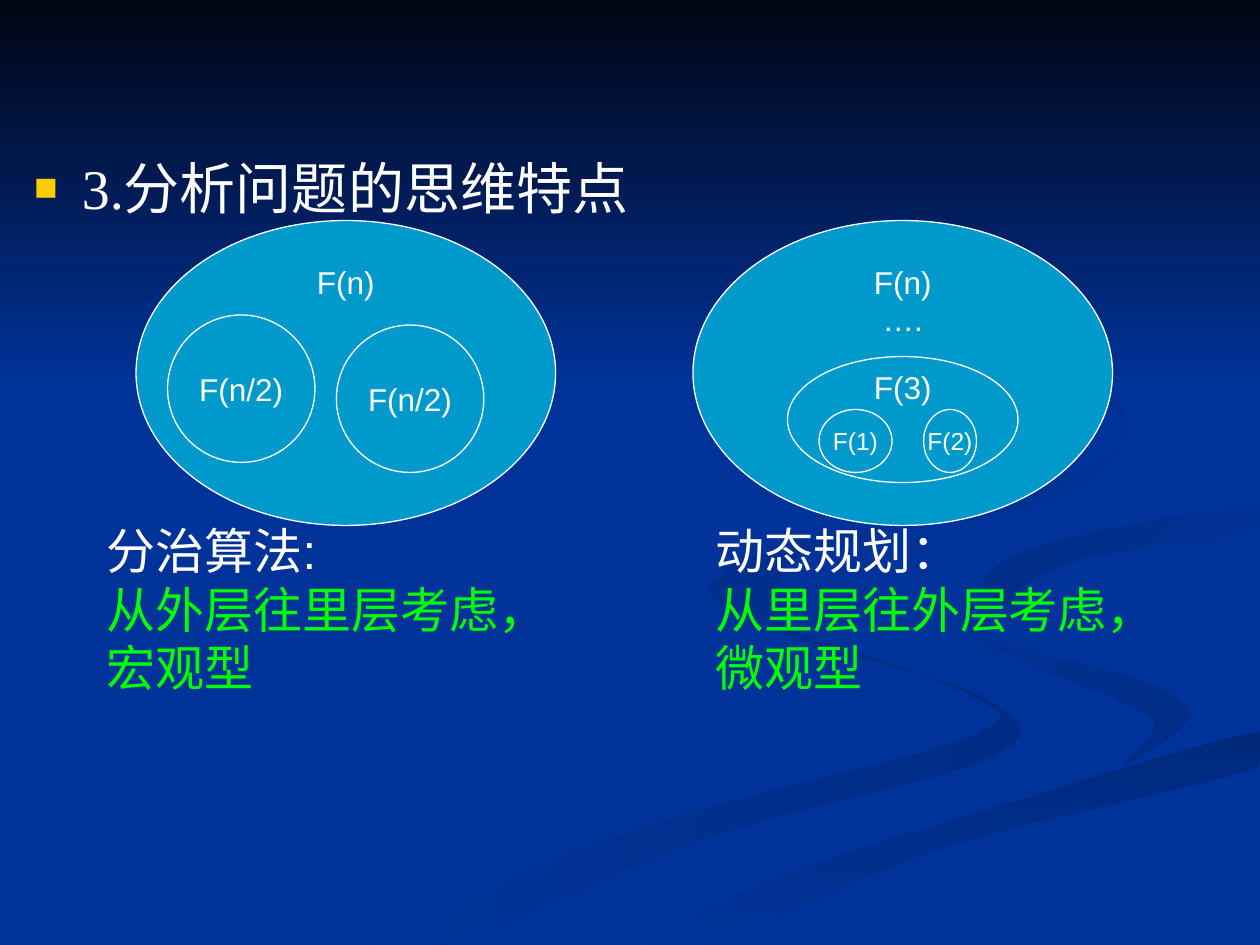
from dataclasses import dataclass
from typing import Optional

from lxml.etree import SubElement
from pptx import Presentation
from pptx.dml.color import RGBColor
from pptx.enum.shapes import MSO_SHAPE
from pptx.enum.text import MSO_ANCHOR as Anchor, MSO_AUTO_SIZE as AutoSize, PP_ALIGN as Align
from pptx.oxml.ns import qn
from pptx.util import Inches, Pt

BLUE = RGBColor(0x00, 0x33, 0x99)
NIGHT = RGBColor(0x00, 0x05, 0x14)
DUSK = RGBColor(0x00, 0x2C, 0x85)
DEEP = RGBColor(0x00, 0x29, 0x7C)
CYAN = RGBColor(0x00, 0x99, 0xCC)
WHITE = RGBColor(0xFF, 0xFF, 0xFF)
GREEN = RGBColor(0x00, 0xFF, 0x00)

WIDTH, HEIGHT = 10, 7.5
CURVE_STEPS = 6

Point = tuple[float, float]


@dataclass
class Ribbon:
    outline: list[Point]  # key points, joined by a smooth closed curve
    start: RGBColor
    end: RGBColor
    angle: int  # clockwise degrees


@dataclass
class Problem:
    left: float
    top: float
    width: float
    height: float
    label: str
    size: int = 18
    bottom_inset: float = 0.05  # lifts the label above the inner ellipses
    alpha: Optional[int] = None  # percent


@dataclass
class Note:
    left: float
    width: float
    method: str
    thinking: str


RIBBONS = [
    Ribbon([(5.75, 4.6), (6.3, 5.05), (7.8, 5.53), (7.9, 6), (5.6, 6.65), (3.6, 7.49),
            (3, 7.49), (5, 6.6), (7.7, 5.85), (7.6, 5.47), (5.8, 4.83)], DUSK, BLUE, 180),
    Ribbon([(7.25, 4.65), (7.9, 5.09), (9.05, 5.4), (9.43, 5.7), (8.94, 6.05),
            (9.15, 5.71), (8.4, 5.36), (7.4, 4.94)], DUSK, BLUE, 225),
    Ribbon([(5.1, 7.49), (6.3, 6.93), (8, 6.38), (9.98, 5.81), (9.98, 6.09),
            (7.5, 6.72), (5.7, 7.49)], DEEP, BLUE, 90),
    Ribbon([(7.81, 4.6), (8.5, 4.27), (9.98, 4.02), (9.98, 4.2), (8.6, 4.43),
            (8.05, 4.72), (8.26, 4.96)], BLUE, DUSK, 225),
    Ribbon([(7.62, 2.33), (8.64, 2.91), (8.94, 3.44), (8.4, 3.96), (6.35, 4.4),
            (6.2, 5), (5.8, 4.5), (8.3, 3.82), (8.88, 3.3)], BLUE, DUSK, 225),
]

PROBLEMS = [
    # Dynamic programming
    Problem(5.5, 1.75, 3.33, 2.42, "F(n)\n….", bottom_inset=1.2),
    Problem(6.25, 2.83, 1.83, 1, "F(3)", bottom_inset=0.57, alpha=50),
    Problem(6.5, 3.25, 0.58, 0.5, "F(1)", size=14, alpha=50),
    Problem(7.33, 3.25, 0.42, 0.5, "F(2)", size=14, alpha=50),
    # Divide and conquer
    Problem(1.08, 1.75, 3.33, 2.42, "F(n)", bottom_inset=1.49),
    Problem(1.33, 2.5, 1.17, 1.17, "F(n/2)"),
    Problem(2.67, 2.58, 1.17, 1.17, "F(n/2)"),
]
NOTES = [
    Note(0.75, 3.83, "分治算法:", "从外层往里层考虑，宏观型"),
    Note(5.58, 4, "动态规划：", "从里层往外层考虑，微观型"),
]


def style(paragraph, size: int, color: RGBColor, name: str = "Arial") -> None:
    font = paragraph.font
    font.size, font.name, font.color.rgb = Pt(size), name, color


def shade(shape, start: RGBColor, end: RGBColor, angle: int) -> None:
    shape.shadow.inherit = False
    shape.line.fill.background()
    shape.fill.gradient()
    shape.fill.gradient_angle = (360 - angle) % 360
    for stop, color in zip(shape.fill.gradient_stops, (start, end)):
        stop.color.rgb = color


def smooth(outline: list[Point]) -> list[Point]:
    """Closed Catmull-Rom curve through the key points, kept on the slide."""
    curve = []
    for i in range(len(outline)):
        knots = [outline[(i + k) % len(outline)] for k in (-1, 0, 1, 2)]
        for step in range(CURVE_STEPS):
            t = step / CURVE_STEPS
            x, y = (
                b + t * (c - a + t * (2 * a - 5 * b + 4 * c - d + t * (3 * (b - c) + d - a))) / 2
                for a, b, c, d in zip(*knots)
            )
            curve.append((min(x, WIDTH), min(y, HEIGHT)))
    return curve


def draw_ribbon(slide, ribbon: Ribbon) -> None:
    first, *rest = [(Inches(x), Inches(y)) for x, y in smooth(ribbon.outline)]
    builder = slide.shapes.build_freeform(*first)
    builder.add_line_segments(rest, close=True)
    shade(builder.convert_to_shape(), ribbon.start, ribbon.end, ribbon.angle)


def draw_problem(slide, problem: Problem) -> None:
    box = (problem.left, problem.top, problem.width, problem.height)
    ellipse = slide.shapes.add_shape(MSO_SHAPE.OVAL, *map(Inches, box))
    ellipse.shadow.inherit = False
    ellipse.fill.solid()
    ellipse.fill.fore_color.rgb = CYAN
    if problem.alpha is not None:
        color = ellipse._element.spPr.find(qn("a:solidFill"))[0]
        SubElement(color, qn("a:alpha"), val=str(problem.alpha * 1000))
    ellipse.line.color.rgb = WHITE
    ellipse.line.width = Pt(0.75)

    frame = ellipse.text_frame
    frame.word_wrap = False
    frame.vertical_anchor = Anchor.MIDDLE
    frame.margin_bottom = Inches(problem.bottom_inset)
    frame.text = problem.label
    for paragraph in frame.paragraphs:
        paragraph.alignment = Align.CENTER
        style(paragraph, problem.size, WHITE)


def draw_note(slide, note: Note) -> None:
    box = slide.shapes.add_textbox(Inches(note.left), Inches(4.08), Inches(note.width), Inches(1.5))
    frame = box.text_frame
    frame.word_wrap = True
    frame.text = f"{note.method}\n{note.thinking}"
    for paragraph, color in zip(frame.paragraphs, (WHITE, GREEN)):
        style(paragraph, 28, color)


def draw_heading(slide, text: str) -> None:
    heading = slide.shapes.title
    slide.shapes._spTree.append(heading._element)  # bring in front of the backdrop
    heading.left, heading.top = Inches(0.17), Inches(1.17)
    heading.width, heading.height = Inches(9.83), Inches(0.68)
    frame = heading.text_frame
    frame.auto_size = AutoSize.NONE
    frame.vertical_anchor = Anchor.TOP
    frame.text = text
    paragraph = frame.paragraphs[0]
    paragraph.alignment = Align.LEFT
    # Square yellow bullet with a hanging indent
    properties = paragraph._p.get_or_add_pPr()
    properties.set("marL", str(Inches(0.38)))
    properties.set("indent", str(Inches(-0.38)))
    SubElement(SubElement(properties, qn("a:buClr")), qn("a:srgbClr"), val="FFCC00")
    SubElement(properties, qn("a:buSzPct"), val="70000")
    SubElement(properties, qn("a:buFont"), typeface="Arial")
    SubElement(properties, qn("a:buChar"), char="■")
    style(paragraph, 32, WHITE, "Times New Roman")


def main() -> None:
    deck = Presentation()
    deck.slide_width, deck.slide_height = Inches(WIDTH), Inches(HEIGHT)
    slide = deck.slides.add_slide(deck.slide_layouts[5])
    slide.background.fill.solid()
    slide.background.fill.fore_color.rgb = BLUE

    # Backdrop: ribbons under a night sky
    for ribbon in RIBBONS:
        draw_ribbon(slide, ribbon)
    sky = slide.shapes.add_shape(MSO_SHAPE.RECTANGLE, 0, 0, deck.slide_width, Inches(3.08))
    shade(sky, NIGHT, BLUE, 90)

    # Heading, nested problems and their explanations
    draw_heading(slide, "3.分析问题的思维特点")
    for problem in PROBLEMS:
        draw_problem(slide, problem)
    for note in NOTES:
        draw_note(slide, note)

    deck.save("out.pptx")


if __name__ == "__main__":
    main()
